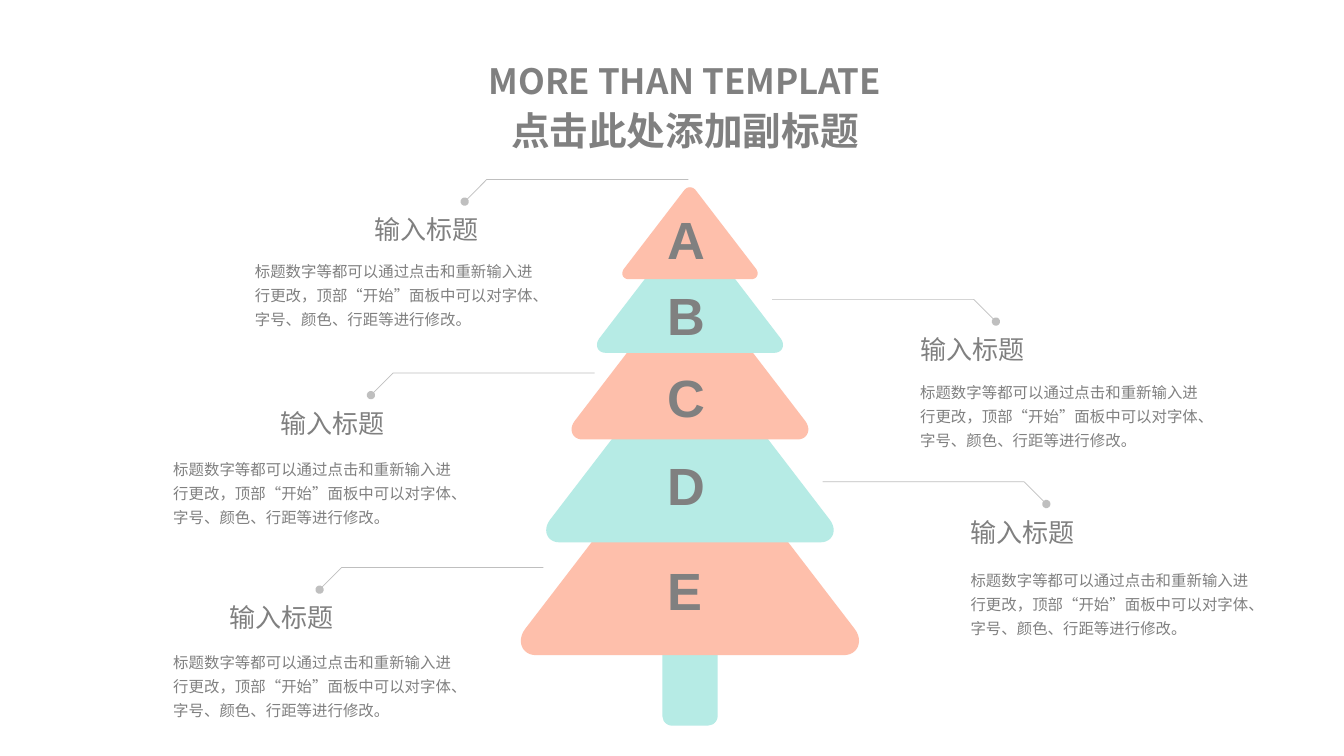
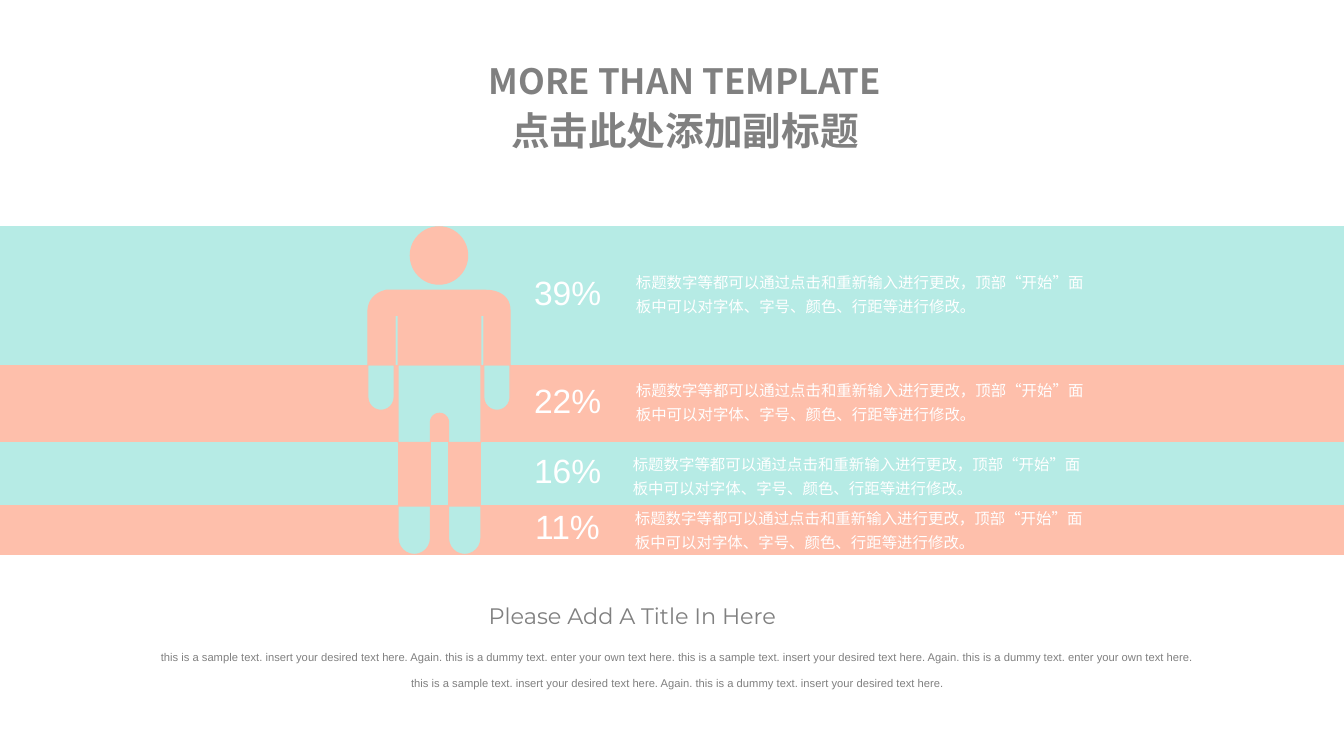
from lxml.etree import SubElement
from pptx import Presentation
from pptx.dml.color import RGBColor
from pptx.enum.shapes import MSO_SHAPE as Preset
from pptx.enum.text import MSO_ANCHOR as Anchor, MSO_AUTO_SIZE as AutoSize, PP_ALIGN as Align
from pptx.oxml.ns import qn
from pptx.util import Inches, Pt

CELL = Inches(0.1)
COLUMNS, ROWS = 133.33, 75
MINT, PEACH, GREY, SILVER, WHITE = "B6EBE5", "FEBFAB", "808080", "BFBFBF", "FFFFFF"
HAN = "Noto Sans CJK SC"
TITLE = "MORE THAN TEMPLATE\n点击此处添加副标题"
HINT = "标题数字等都可以通过点击和重新输入进行更改，顶部“开始”面板中可以对字体、字号、颜色、行距等进行修改。"
SAMPLE = "this is a sample text. insert your desired text here. Again. this is a dummy text."
CAPTION = " ".join([f"{SAMPLE} enter your own text here."] * 2 + [f"{SAMPLE} insert your desired text here."])

TREE_AXIS, TREE_HEIGHT = 68.45, 23.1
TREE_OUTLINE = [
    (15.25, 23.1),
    (16.65, 23.1, 17.25, 21.7, 16.35, 20.5),
    (1.55, 1.2),
    (0.65, 0, -0.65, 0, -1.55, 1.2),
    (-16.35, 20.5),
    (-17.25, 21.7, -16.65, 23.1, -15.25, 23.1),
]
TIERS = [("E", 65, 54.9), ("D", 53.8, 44.5), ("C", 43.6, 35.7), ("B", 35, 27.6), ("A", 27.7, 20.1)]
CALLOUTS = [
    (68.3, 17.8, -1, 24.3, 25),
    (59, 37, -1, 16.2, 44.6),
    (53.9, 56.3, -1, 16.2, 63.8),
    (76.6, 29.7, 1, 90.3, 37),
    (81.6, 47.8, 1, 95.3, 55.6),
]
BAND_EDGES = [22.5, 36.3, 43.9, 50.2, 55]
SHARES = [
    ("39%", 52, 26.5, 62.1, 26.1),
    ("22%", 52, 37.2, 62.1, 36.8),
    ("16%", 52, 44.1, 61.8, 44.1),
    ("11%", 52.1, 49.7, 62, 49.5),
]
LEGS, ARMS = (39.5, 44.5), (36.5, 48)
HIPS = [
    (39.5, 36.2), (47.7, 36.2), (47.7, 43.9), (44.5, 43.9), (44.5, 41.9),
    (44.5, 41.4, 44.1, 41, 43.6, 41),
    (43.1, 41, 42.7, 41.4, 42.7, 41.9),
    (42.7, 43.9), (39.5, 43.9),
]
CHEST = [
    (47.7, 31.3), (48, 31.3), (48, 36.2), (50.6, 36.2), (50.6, 30.8),
    (50.6, 29.3, 49.3, 28.8, 48.2, 28.8),
    (38.3, 28.8),
    (37.5, 29, 36.6, 29.5, 36.5, 30.8),
    (36.5, 36.2), (39.2, 36.2), (39.2, 31.3), (39.5, 31.3), (39.5, 36.2), (47.7, 36.2),
]


def color(code):
    return RGBColor.from_string(code)


def cells(*lengths):
    return [round(length * CELL) for length in lengths]


def curve_points(start, segment, steps=12):
    corners = [start, segment[:2], segment[2:4], segment[4:]]
    for step in range(1, steps + 1):
        t = step / steps
        weights = [(1 - t) ** 3, 3 * t * (1 - t) ** 2, 3 * t * t * (1 - t), t ** 3]
        yield tuple(sum(w * corner[axis] for w, corner in zip(weights, corners)) for axis in (0, 1))


def flatten(segments):
    points = [segments[0]]
    for segment in segments[1:]:
        points.extend([segment] if len(segment) == 2 else curve_points(points[-1], segment))
    return points


class Sketch:
    def __init__(self):
        self.deck = Presentation()
        self.deck.slide_width, self.deck.slide_height = cells(COLUMNS, ROWS)
        self.page = None

    def new_page(self, title):
        self.page = self.deck.slides.add_slide(self.deck.slide_layouts[5])
        box = self.page.shapes.title
        box.left, box.top, box.width, box.height = cells(45.9, 5, 44.1, 10.7)
        frame = box.text_frame
        frame.text = title
        frame.auto_size = AutoSize.NONE
        frame.vertical_anchor = Anchor.MIDDLE
        for para, size in zip(frame.paragraphs, (24.9, 27.6)):
            self.format(para, size, GREY, HAN, bold=True, align=Align.CENTER, spacing=1.1)

    def format(self, para, size, ink, face, bold=False, align=Align.LEFT, spacing=None):
        para.alignment = align
        para.space_before = Pt(0)
        if spacing:
            para.line_spacing = spacing
        for span in para.runs:
            span.font.size, span.font.bold, span.font.name = Pt(size), bold, face
            span.font.color.rgb = color(ink)
            properties = span.font._element
            properties.set("lang", "zh-CN")
            SubElement(properties, qn("a:ea")).set("typeface", HAN)

    def text(self, text, place, size, ink=GREY, face="Arial", wrap=False, **style):
        box = self.page.shapes.add_textbox(*cells(*place))
        frame = box.text_frame
        frame.text = text
        frame.word_wrap = wrap
        frame.auto_size = AutoSize.SHAPE_TO_FIT_TEXT
        self.format(frame.paragraphs[0], size, ink, face, **style)

    def hint(self, place, ink=GREY):
        self.text(HINT, place, 11, ink, HAN, wrap=True, spacing=1.3)

    def paint(self, shape, fill=None, line=None, weight=0.75):
        shape.shadow.inherit = False
        if fill:
            shape.fill.solid()
            shape.fill.fore_color.rgb = color(fill)
        else:
            shape.fill.background()
        if line:
            shape.line.color.rgb = color(line)
            shape.line.width = Pt(weight)
        else:
            shape.line.fill.background()
        return shape

    def shape(self, preset, place, fill, line=None, weight=0.75, adjust=()):
        shape = self.page.shapes.add_shape(preset, *cells(*place))
        for index, value in enumerate(adjust):
            shape.adjustments[index] = value
        return self.paint(shape, fill, line, weight)

    def outline(self, segments, fill=None, line=None, weight=0.75, close=True):
        start, *rest = [cells(*point) for point in flatten(segments)]
        builder = self.page.shapes.build_freeform(*start)
        builder.add_line_segments(rest, close=close)
        return self.paint(builder.convert_to_shape(), fill, line, weight)

    def limb(self, place):
        self.shape(Preset.ROUND_2_SAME_RECTANGLE, place, MINT, PEACH, adjust=(0, 0.5))

    def tier(self, bottom, scale, fill):
        top = bottom - TREE_HEIGHT * scale
        origin = (TREE_AXIS, top)
        self.outline(
            [[origin[i % 2] + value * scale for i, value in enumerate(segment)] for segment in TREE_OUTLINE],
            fill,
        )

    def callout(self, x, y, side, hint_x, hint_y):
        end = x + side * 22.2
        label_x = end - (8.5 if side > 0 else 9.95)
        self.text("输入标题", (label_x, y + 2.9, 12.5, 4.2), 18.6)
        leader = self.outline([(x, y), (x + side * 20, y), (end, y + 2.2)], None, SILVER, 0.5, False)
        SubElement(leader.line._get_or_add_ln(), qn("a:tailEnd")).set("type", "oval")
        self.hint((hint_x, hint_y, 30.1, 8.2))


def draw_tree(sketch):
    sketch.new_page(TITLE)
    sketch.shape(Preset.ROUNDED_RECTANGLE, (65.7, 63, 5.5, 9), MINT, adjust=(0.18,))
    for index, (letter, bottom, letter_top) in enumerate(TIERS):
        sketch.tier(bottom, 1 - 0.15 * index, (PEACH, MINT)[index % 2])
    for letter, bottom, letter_top in TIERS:
        sketch.text(letter, (65.2, letter_top, 5.8, 7.3), 37.4, bold=True)
    for callout in CALLOUTS:
        sketch.callout(*callout)


def draw_figure(sketch):
    sketch.new_page(TITLE)
    for index, (top, bottom) in enumerate(zip(BAND_EDGES, BAND_EDGES[1:])):
        fill = (MINT, PEACH)[index % 2]
        sketch.shape(Preset.RECTANGLE, (0, top, COLUMNS, bottom - top), fill, fill, 1)
    for left in LEGS:
        sketch.limb((left, 50.2, 3.2, 4.8))
    for left in ARMS:
        sketch.limb((left, 36.2, 2.6, 4.5))
    sketch.outline(HIPS, MINT, PEACH)
    for left in LEGS:
        sketch.shape(Preset.RECTANGLE, (left, 43.9, 3.2, 6.3), PEACH, PEACH)
    sketch.shape(Preset.OVAL, (40.7, 22.5, 5.7, 5.7), PEACH, PEACH)
    sketch.outline(CHEST, PEACH, PEACH)
    for share, x, y, hint_x, hint_y in SHARES:
        sketch.text(share, (x, y, 8.8, 5), 24, WHITE)
        sketch.hint((hint_x, hint_y, 47.3, 5.6), WHITE)
    sketch.text("Please Add A Title In Here", (47.5, 59.2, 34.4, 3.7), 16, face="Montserrat")
    sketch.text(CAPTION, (14.1, 62.8, 106.3, 5.9), 8, wrap=True, align=Align.CENTER, spacing=Pt(18.6))


def main():
    sketch = Sketch()
    draw_tree(sketch)
    draw_figure(sketch)
    sketch.deck.save("out.pptx")


if __name__ == "__main__":
    main()
